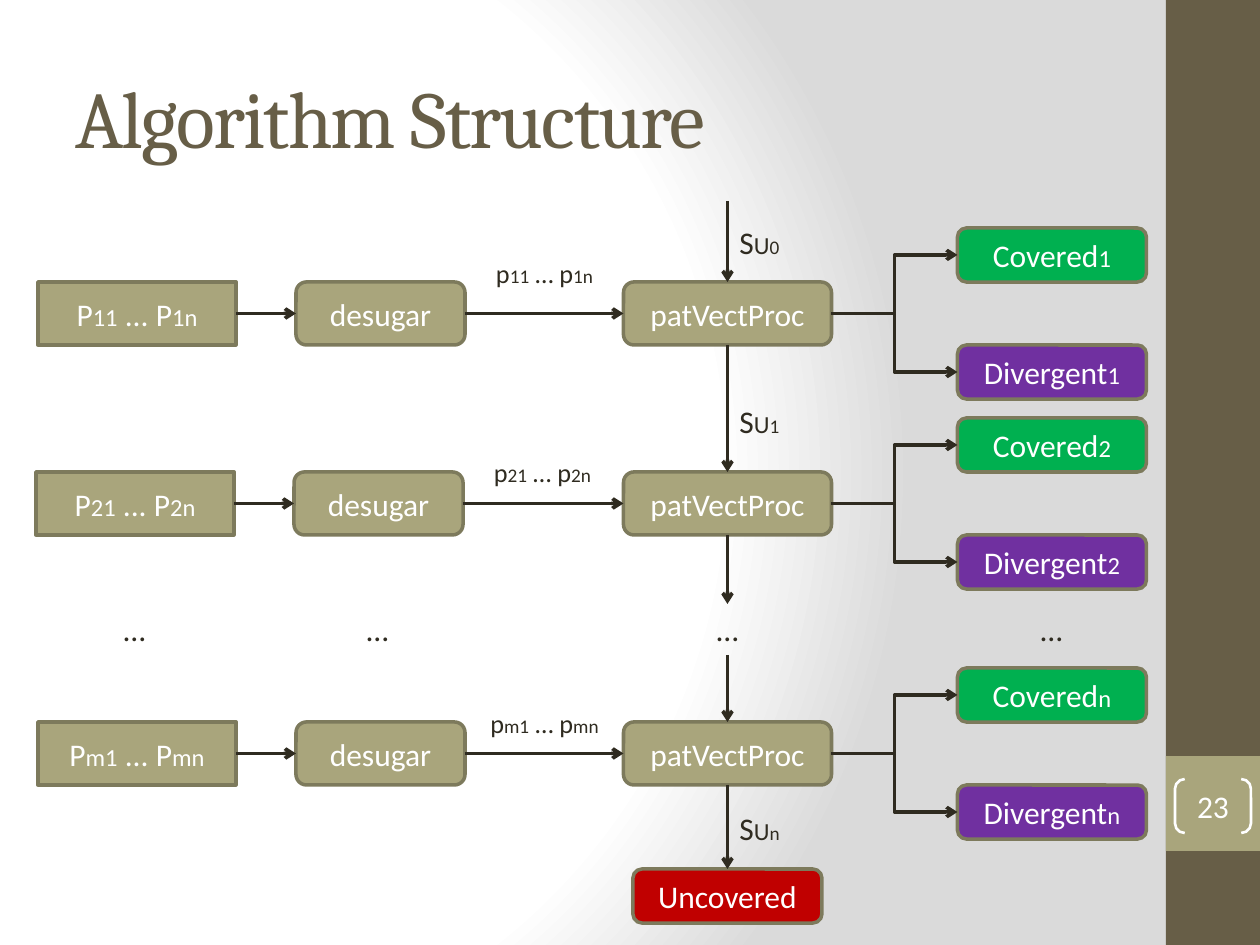
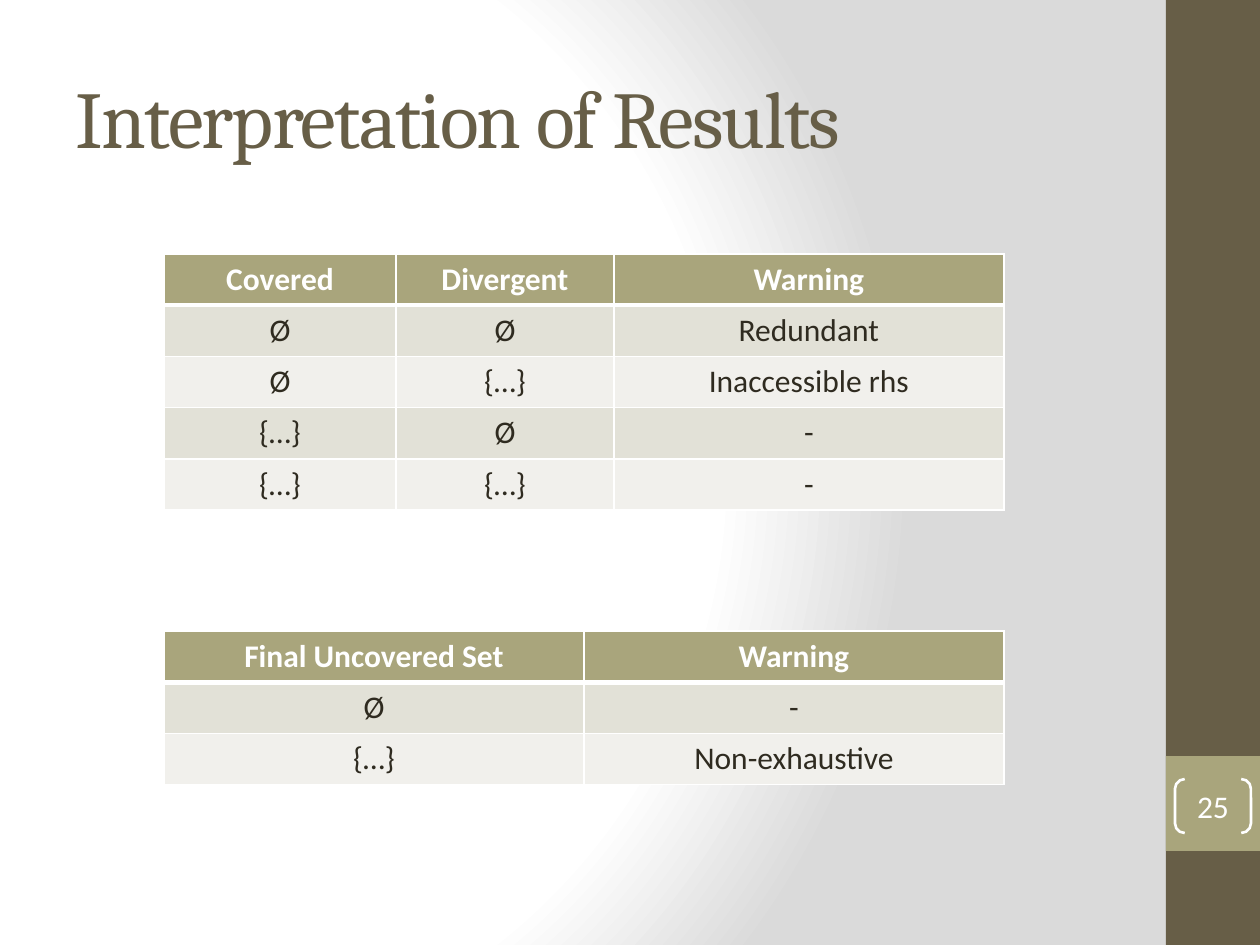
import itertools

import pptx
import pptx.dml.color
import pptx.enum.shapes
import pptx.enum.text
import pptx.oxml
import pptx.oxml.ns
import pptx.util

SHAPE = pptx.enum.shapes.MSO_SHAPE
CONNECTOR = pptx.enum.shapes.MSO_CONNECTOR
ALIGN = pptx.enum.text.PP_ALIGN
ANCHOR = pptx.enum.text.MSO_ANCHOR

INK, WHITE, BROWN, OLIVE, EDGE = "2F2B20", "FFFFFF", "675E47", "A9A57C", "7D7A5C"
GREEN, PURPLE, RED = "00B050", "7030A0", "C00000"
STRIPES = ("E2E1D7", "F1F0EC")
BACKDROP = ((0, "FFFFFF"), (75, "FFFFFF"), (100, "DADADA"))
TOP, LEFT, BOTTOM, RIGHT = range(4)  # connection sites of a box


def px(n):
    """Turn pixels into EMU."""
    return pptx.util.Emu(round(n * 914400 / 126))


def rgb(code):
    """Turn a hex string into a colour."""
    return pptx.dml.color.RGBColor.from_string(code)


def xml(tag, inner="", attrs=""):
    """Make one DrawingML element."""
    ns = pptx.oxml.ns.nsdecls("a")
    return pptx.oxml.parse_xml(f"<a:{tag} {ns} {attrs}>{inner}</a:{tag}>")


def solid(code):
    """Return the markup of a solid fill."""
    return f'<a:solidFill><a:srgbClr val="{code}"/></a:solidFill>'


def write(tf, text, sizes=(18,), color=INK, font="Calibri", align=ALIGN.CENTER,
          bold=False, spacing=0):
    """Fill a text frame; '|' starts a new run, and the sizes take turns."""
    p = tf.paragraphs[0]
    p.alignment = align
    for part, size in zip(text.split("|"), itertools.cycle(sizes)):
        r = p.add_run()
        r.text = part
        r.font.size = pptx.util.Pt(size)
        r.font.name = font
        r.font.bold = bold
        r.font.color.rgb = rgb(color)
        if spacing:
            r.font._element.set("spc", str(spacing * 100))


class Deck:
    """The shared style and the current slide."""

    def __init__(self):
        """Start a 10 by 7.5 inch presentation."""
        self.prs = pptx.Presentation()
        self.prs.slide_width, self.prs.slide_height = px(1260), px(945)

    def slide(self, title, number):
        """Add a slide with backdrop, side band, title and page number."""
        self.s = self.prs.slides.add_slide(self.prs.slide_layouts[6])
        self.backdrop()
        self.box(1166, 0, 94, 945, fill=BROWN, line=None)
        self.box(1166, 756, 94, 95, fill=OLIVE, line=None)
        self.label(63, 38, 1050, 157, title, anchor=ANCHOR.MIDDLE, sizes=(46,),
                   color=BROWN, font="Cambria", align=ALIGN.LEFT, spacing=-1)
        sp = self.box(1175, 779, 76, 54, str(number), SHAPE.DOUBLE_BRACKET,
                      fill=None, line=WHITE, width=1.5, margin=0)
        sp.adjustments[0] = 0.18

    def backdrop(self):
        """Give the slide its circular gradient."""
        fill = self.s.background.fill
        fill.solid()
        stops = "".join(f'<a:gs pos="{pos * 1000}"><a:srgbClr val="{code}"/></a:gs>'
                        for pos, code in BACKDROP)
        grad = xml("gradFill", f'<a:gsLst>{stops}</a:gsLst><a:path path="circle">'
                   '<a:fillToRect l="20000" t="50000" r="100000" b="50000"/></a:path>',
                   'rotWithShape="1"')
        bg = self.s._element.cSld.bg.bgPr
        bg.replace(bg.find(pptx.oxml.ns.qn("a:solidFill")), grad)

    def box(self, x, y, w, h, text="", kind=SHAPE.RECTANGLE, fill=OLIVE, line=EDGE,
            width=2, margin=None, **fmt):
        """Add a preset shape with centred white text."""
        sp = self.s.shapes.add_shape(kind, px(x), px(y), px(w), px(h))
        sp.shadow.inherit = False
        if fill:
            sp.fill.solid()
            sp.fill.fore_color.rgb = rgb(fill)
        else:
            sp.fill.background()
        if line:
            sp.line.color.rgb = rgb(line)
            sp.line.width = pptx.util.Pt(width)
        else:
            sp.line.fill.background()
        tf = sp.text_frame
        tf.vertical_anchor = ANCHOR.MIDDLE
        if margin is not None:
            tf.margin_left = tf.margin_right = tf.margin_top = tf.margin_bottom = margin
        if text:
            write(tf, text, color=WHITE, **fmt)
        return sp

    def node(self, x, y, w, h, text, fill=OLIVE):
        """Add a rounded step of the diagram, with small indices."""
        return self.box(x, y, w, h, text, SHAPE.ROUNDED_RECTANGLE, fill, sizes=(18, 14))

    def label(self, x, y, w, h, text, wrap=True, anchor=ANCHOR.TOP, **fmt):
        """Add a text box."""
        tf = self.s.shapes.add_textbox(px(x), px(y), px(w), px(h)).text_frame
        tf.word_wrap = wrap
        tf.vertical_anchor = anchor
        write(tf, text, **fmt)

    def arrow(self, start, end, kind=CONNECTOR.STRAIGHT):
        """Add an arrow; each end is a point or a (shape, site) pair."""
        ends = [(0, 0) if hasattr(e[0], "left") else e for e in (start, end)]
        c = self.s.shapes.add_connector(kind, *(px(n) for e in ends for n in e))
        if hasattr(start[0], "left"):
            c.begin_connect(*start)
        if hasattr(end[0], "left"):
            c.end_connect(*end)
        c.line.color.rgb = rgb(INK)
        c.line.width = pptx.util.Pt(2)
        c.line._get_or_add_ln().append(xml("tailEnd", attrs='type="arrow"'))
        c._element.spPr.append(xml("effectLst"))

    def table(self, x, y, widths, rows, row_height=51.2):
        """Add a striped table whose first row is the heading."""
        t = self.s.shapes.add_table(len(rows), len(widths), px(x), px(y), px(sum(widths)),
                                    px(row_height * len(rows))).table
        for col, w in zip(t.columns, widths):
            col.width = px(w)
        for i, row in enumerate(rows):
            t.rows[i].height = px(row_height)
            head = i == 0
            for j, text in enumerate(row):
                cell = t.cell(i, j)
                self.borders(cell, top=3 if i == 1 else 1, bottom=3 if head else 1)
                cell.fill.solid()
                cell.fill.fore_color.rgb = rgb(OLIVE if head else STRIPES[(i - 1) % 2])
                write(cell.text_frame, text, color=WHITE if head else INK, bold=head)

    def borders(self, cell, top, bottom):
        """Draw white borders around a cell, with widths in points."""
        tcPr = cell._tc.get_or_add_tcPr()
        for side, width in zip("LRTB", (1, 1, top, bottom)):
            tcPr.append(xml(f"ln{side}", solid(WHITE), f'w="{pptx.util.Pt(width)}"'))


def structure(d):
    """Draw the algorithm: one row of steps per clause."""
    d.slide("Algorithm Structure", 23)
    # index, outcome index, row centre, label top, shift of the first two steps
    clauses = (("1", "1", 314, 251, 0), ("2", "2", 504, 450, -2), ("m", "n", 754, 701, 0))
    procs = []
    for i, k, cy, label_y, dx in clauses:
        top = cy - 32
        clause = d.box(38 + dx, top, 198, 63, f"P|{i}1| ... P|{i}n", sizes=(18, 14))
        desugar = d.node(296 + dx, top, 169, 63, "desugar")
        proc = d.node(623.5, top, 208, 63, "patVectProc")
        d.arrow((clause, RIGHT), (desugar, LEFT))
        d.arrow((desugar, RIGHT), (proc, LEFT))
        d.label(465 + dx, label_y, 159, 44, f"p|{i}1| … p|{i}n", sizes=(15, 11))
        for name, dy, fill in (("Covered", -86, GREEN), ("Divergent", 31, PURPLE)):
            outcome = d.node(957.5, cy + dy, 189, 54, f"{name}|{k}", fill)
            d.arrow((proc, RIGHT), (outcome, LEFT), CONNECTOR.ELBOW)
        procs.append(proc)

    first, second, last = procs
    uncovered = d.node(633, 869, 189, 54, "Uncovered", RED)
    axis = 727.5
    d.arrow((axis, 201), (first, TOP))
    d.arrow((first, BOTTOM), (second, TOP))
    d.arrow((second, BOTTOM), (axis, 604))
    d.arrow((axis, 655), (last, TOP))
    d.arrow((last, BOTTOM), (uncovered, TOP))
    for k, y in (("0", 217), ("1", 396), ("n", 803)):
        d.label(727, y, 66, 50, f"S|U|{k}", wrap=False, sizes=(18, 14, 11),
                align=ALIGN.LEFT)
    for x in (60, 303, 653, 977):
        d.label(x, 604, 149, 51, "…")


def results(d):
    """Show which warning each result leads to."""
    d.slide("Interpretation of Results", 25)
    none, some = "Ø", "{…}"
    d.table(164, 254, (232, 218, 390), (
        ("Covered", "Divergent", "Warning"),
        (none, none, "Redundant"),
        (none, some, "Inaccessible rhs"),
        (some, none, "-"),
        (some, some, "-")))
    d.table(164, 631, (420, 420), (
        ("Final Uncovered Set", "Warning"),
        (none, "-"),
        (some, "Non-exhaustive")))


deck = Deck()
structure(deck)
results(deck)
deck.prs.save("out.pptx")
